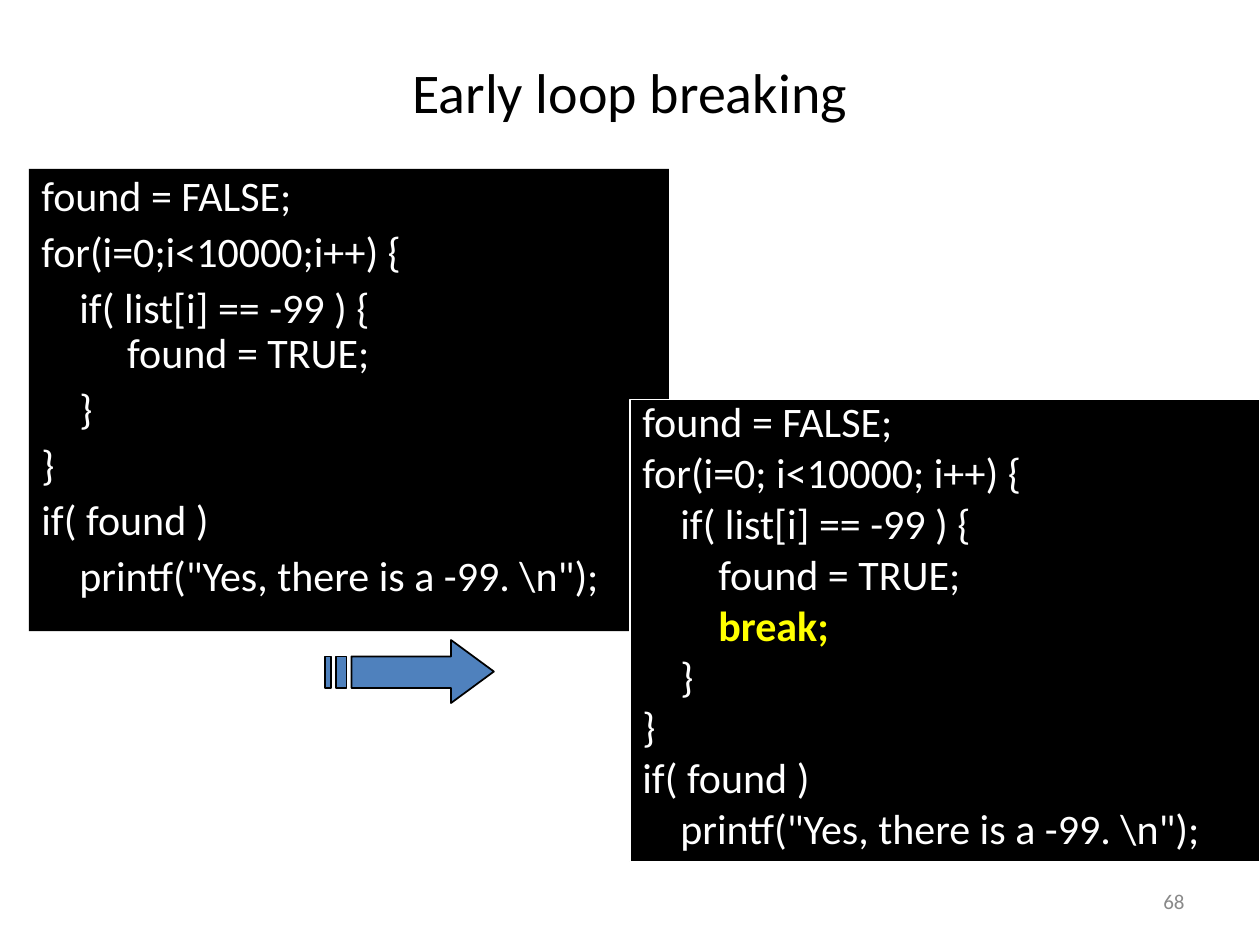
from dataclasses import dataclass
from typing import Optional

from pptx import Presentation
from pptx.dml.color import RGBColor
from pptx.enum.shapes import MSO_SHAPE
from pptx.enum.text import MSO_ANCHOR, PP_ALIGN
from pptx.util import Inches, Pt

FONT = "Calibri"
COLORS = {
    "black": "000000",
    "white": "FFFFFF",
    "highlight": "FFFF00",
    "arrow": "4F81BD",
    "number": "898989",
}
HANGING_INDENT = 0.38


@dataclass
class Label:
    text: str
    left: float
    top: float
    width: float
    height: float
    size: int
    color: str
    align: PP_ALIGN


@dataclass
class CodePanel:
    left: float
    top: float
    width: float
    height: float
    line_spacing: float
    code: list[str]
    outline: Optional[str] = None
    highlight: Optional[str] = None


LABELS = [
    Label("68", 7.17, 6.95, 2.33, 0.4, 12, "number", PP_ALIGN.RIGHT),
    Label("Early loop breaking", 0, 0.3, 10, 0.85, 32, "black", PP_ALIGN.CENTER),
]

# A newline inside an entry is a line break within the same paragraph.
PANELS = [
    CodePanel(0.23, 1.34, 5.08, 3.67, 0.9, [
        "found = FALSE;",
        "for(i=0;i<10000;i++) {",
        "    if( list[i] == -99 ) {\n    found = TRUE;",
        "    }",
        "}",
        "if( found )",
        '    printf("Yes, there is a -99. \\n");',
    ]),
    CodePanel(5, 3.17, 5, 3.67, 0.8, [
        "found = FALSE;",
        "for(i=0; i<10000; i++) {",
        "    if( list[i] == -99 ) {",
        "        found = TRUE;",
        "        break;",
        "    }",
        "}",
        "if( found )",
        '    printf("Yes, there is a -99. \\n");',
    ], outline="white", highlight="break;"),
]

# Arrow points are whole hundredths of an inch, as the builder rounds to units.
ARROW_UNIT = Inches(0.01)
SHAFT_TOP, SHAFT_BOTTOM = 521, 546
ARROW_HEAD = [(358, 508), (358, SHAFT_TOP), (279, SHAFT_TOP), (279, SHAFT_BOTTOM),
              (358, SHAFT_BOTTOM), (358, 558), (392, 533)]
ARROW_STRIPES = [(267, 275), (258, 263)]


def rgb(name: str) -> RGBColor:
    return RGBColor.from_string(COLORS[name])


def add_span(para, text: str, size: int, color: str, bold: bool = False) -> None:
    span = para.add_run()
    span.text = text
    span.font.name = FONT
    span.font.size = Pt(size)
    span.font.bold = bold
    span.font.color.rgb = rgb(color)


def add_label(page, label: Label) -> None:
    box = page.shapes.add_textbox(Inches(label.left), Inches(label.top),
                                  Inches(label.width), Inches(label.height))
    frame = box.text_frame
    frame.word_wrap = True
    frame.vertical_anchor = MSO_ANCHOR.MIDDLE
    para = frame.paragraphs[0]
    para.alignment = label.align
    add_span(para, label.text, label.size, label.color)


def add_code_line(para, text: str, highlight: Optional[str]) -> None:
    """Write one code paragraph, with the highlighted statement in its own run."""
    for index, part in enumerate(text.split("\n")):
        if index:
            para.add_line_break()
        if highlight and part.endswith(highlight):
            add_span(para, part.removesuffix(highlight), 24, "white")
            add_span(para, highlight, 24, "highlight", bold=True)
        else:
            add_span(para, part, 24, "white")


def add_code_panel(page, panel: CodePanel) -> None:
    box = page.shapes.add_shape(MSO_SHAPE.RECTANGLE, Inches(panel.left), Inches(panel.top),
                                Inches(panel.width), Inches(panel.height))
    box.shadow.inherit = False
    box.fill.solid()
    box.fill.fore_color.rgb = rgb("black")
    if panel.outline:
        box.line.color.rgb = rgb(panel.outline)
        box.line.width = Pt(0.75)
    else:
        box.line.fill.background()
    frame = box.text_frame
    frame.word_wrap = True
    frame.vertical_anchor = MSO_ANCHOR.TOP
    for index, text in enumerate(panel.code):
        para = frame.add_paragraph() if index else frame.paragraphs[0]
        para.alignment = PP_ALIGN.LEFT
        para.line_spacing = panel.line_spacing
        para.space_before = Pt(6 if index else 0)
        properties = para._p.get_or_add_pPr()
        properties.set("marL", str(Inches(HANGING_INDENT)))
        properties.set("indent", str(-Inches(HANGING_INDENT)))
        add_code_line(para, text, panel.highlight)


def add_striped_arrow(page) -> None:
    stripes = [[(left, SHAFT_TOP), (left, SHAFT_BOTTOM), (right, SHAFT_BOTTOM), (right, SHAFT_TOP)]
               for left, right in ARROW_STRIPES]
    builder = page.shapes.build_freeform(*ARROW_HEAD[0], scale=ARROW_UNIT)
    builder.add_line_segments(ARROW_HEAD[1:], close=True)
    for stripe in stripes:
        builder.move_to(*stripe[0])
        builder.add_line_segments(stripe[1:], close=True)
    arrow = builder.convert_to_shape()
    arrow.shadow.inherit = False
    arrow.fill.solid()
    arrow.fill.fore_color.rgb = rgb("arrow")
    arrow.line.color.rgb = rgb("black")
    arrow.line.width = Pt(1)


def main() -> None:
    deck = Presentation()
    deck.slide_width, deck.slide_height = Inches(10), Inches(7.5)
    page = deck.slides.add_slide(deck.slide_layouts[6])
    for label in LABELS:
        add_label(page, label)
    for panel in PANELS:
        add_code_panel(page, panel)
    add_striped_arrow(page)
    deck.save("out.pptx")


if __name__ == "__main__":
    main()
